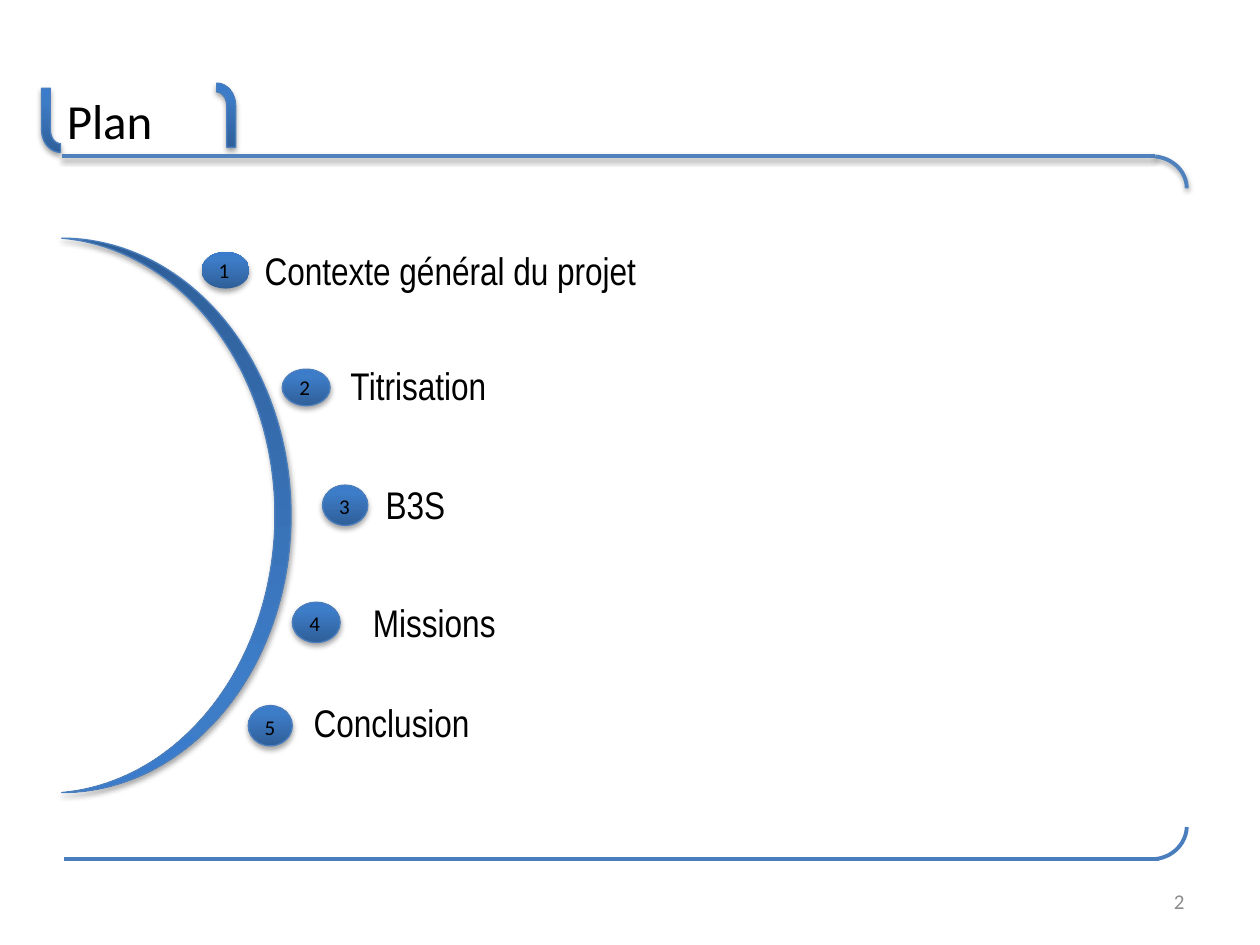
from math import cos, pi, sin

from lxml.etree import SubElement
from pptx import Presentation
from pptx.dml.color import RGBColor
from pptx.enum.shapes import MSO_CONNECTOR as Link, MSO_SHAPE as Shape
from pptx.enum.text import MSO_ANCHOR as Anchor, MSO_AUTO_SIZE as AutoSize, PP_ALIGN as Align
from pptx.oxml.ns import qn
from pptx.util import Inches, Pt

TITLE = "Plan"
PAGE_NUMBER = "2"
CHAPTERS = [
    {"name": "Contexte général du projet", "label": (1.76, 1.92, 4.99, 0.5),
     "badge": (1.6, 2, 0.38, 0.29), "edge": None, "spacing": 0.9},
    {"name": "Titrisation", "label": (2.44, 2.81, 3.34, 0.5),
     "badge": (2.24, 2.93, 0.38, 0.29)},
    {"name": "B3S", "label": (2.72, 3.75, 4, 0.5),
     "badge": (2.56, 3.85, 0.36, 0.32), "inset": 0.02},
    {"name": "Missions", "label": (2.62, 4.69, 4.47, 0.5),
     "badge": (2.32, 4.78, 0.38, 0.32), "inset": 0.02},
    {"name": "Conclusion", "label": (2.15, 5.48, 4.47, 0.5),
     "badge": (1.97, 5.6, 0.35, 0.32), "inset": 0.02},
]
BRACKETS = [(0.48, 1.03, 1), (1.72, 0.84, -1)]
GRADIENT = [(0, "2F5F99"), (80, "3D7CC7"), (100, "3A7CCB")]
BLACK, WHITE, GREY = "000000", "FFFFFF", "8C8C8C"
EDGE, TOP_RULE = "4B7EBC", "4F81BD"
LABEL_INSETS = (0.34, 0.13, 0.25, 0.13)


def color(value):
    return RGBColor.from_string(value)


def inches(values):
    return [Inches(value) for value in values]


def set_line(item, value, width=0.75):
    if value is None:
        item.line.fill.background()
    else:
        item.line.color.rgb = color(value)
        item.line.width = Pt(width)


def add_effects(item, shadow):
    properties = item.element.spPr
    effects = properties.find(qn("a:effectLst"))
    if effects is None:
        effects = SubElement(properties, qn("a:effectLst"))
    if shadow:
        outer = SubElement(effects, qn("a:outerShdw"), blurRad=str(Pt(3.1)),
                           dist=str(Pt(1.8)), dir="5400000", rotWithShape="0")
        tint = SubElement(outer, qn("a:srgbClr"), val=BLACK)
        SubElement(tint, qn("a:alpha"), val="35000")


def style_blue(shape, edge=EDGE):
    shape.fill.gradient()
    shape.fill.gradient_angle = 90
    stops = shape.element.spPr.find(qn("a:gradFill")).find(qn("a:gsLst"))
    stops.clear()
    for position, value in GRADIENT:
        stop = SubElement(stops, qn("a:gs"), pos=str(position * 1000))
        SubElement(stop, qn("a:srgbClr"), val=value)
    set_line(shape, edge)
    shape.shadow.inherit = False
    add_effects(shape, True)


def set_text(shape, text, size, font="Calibri", ink=BLACK, align=Align.LEFT,
             anchor=Anchor.TOP, insets=(0.1, 0.05, 0.1, 0.05), wrap=True, spacing=None):
    frame = shape.text_frame
    left, top, right, bottom = inches(insets)
    frame_format = {"auto_size": AutoSize.NONE, "word_wrap": wrap, "vertical_anchor": anchor,
                    "margin_left": left, "margin_top": top,
                    "margin_right": right, "margin_bottom": bottom}
    for name, value in frame_format.items():
        setattr(frame, name, value)
    para = frame.paragraphs[0]
    para.alignment = align
    para.line_spacing = spacing
    span = para.add_run()
    span.text = text
    for name, value in {"size": Pt(size), "name": font}.items():
        setattr(span.font, name, value)
    span.font.color.rgb = color(ink)


def add_chapter(page, number, chapter):
    label = page.shapes.add_shape(Shape.RECTANGLE, *inches(chapter["label"]))
    label.fill.solid()
    label.fill.fore_color.rgb = color(WHITE)
    set_line(label, WHITE)
    label.shadow.inherit = False
    set_text(label, chapter["name"], 22, "Arial Narrow", anchor=Anchor.MIDDLE,
             insets=LABEL_INSETS, spacing=chapter.get("spacing"))
    badge = page.shapes.add_shape(Shape.OVAL, *inches(chapter["badge"]))
    style_blue(badge, chapter.get("edge", EDGE))
    set_text(badge, str(number), 12, insets=(0.08, chapter.get("inset", 0), 0.1, 0.04))


def add_bracket(page, x, y, sign):
    steps = [step * pi / 24 for step in range(13)]
    outer = [(-0.15 * cos(angle), 0.18 * sin(angle)) for angle in steps]
    inner = [(-0.08 * cos(angle), 0.11 * sin(angle)) for angle in reversed(steps)]
    outline = [(-0.15, -0.33), *outer, *inner, (-0.08, -0.33)]
    points = [inches((x + sign * dx, y + sign * dy)) for dx, dy in outline]
    builder = page.shapes.build_freeform(*points[0], scale=1.0)
    builder.add_line_segments(points[1:], close=True)
    style_blue(builder.convert_to_shape())


def add_rule(page, start, end, corner, angles, value, shadow, flip=False):
    rule = page.shapes.add_connector(Link.STRAIGHT, *inches(start + end))
    arc = page.shapes.add_shape(Shape.ARC, *inches(corner))
    for index, angle in enumerate(angles):
        arc.adjustments[index] = angle
    arc.fill.background()
    arc.shadow.inherit = False
    if flip:
        arc.element.spPr.find(qn("a:xfrm")).set("flipV", "1")
    for item in (rule, arc):
        set_line(item, value, 2.25)
        add_effects(item, shadow)


def add_page_number(page):
    box = page.shapes.add_textbox(*inches((7.17, 6.95, 2.33, 0.4)))
    set_text(box, PAGE_NUMBER, 12, ink=GREY, align=Align.RIGHT, anchor=Anchor.MIDDLE)


def main():
    deck = Presentation()
    deck.slide_width, deck.slide_height = Inches(10), Inches(7.5)
    page = deck.slides.add_slide(deck.slide_layouts[5])
    title = page.shapes.title
    title.left, title.top, title.width, title.height = inches((0.43, 0.67, 0.89, 0.57))
    set_text(title, TITLE, 28, wrap=False)
    for bracket in BRACKETS:
        add_bracket(page, *bracket)
    moon = page.shapes.add_shape(Shape.MOON, *inches((0.49, 1.89, 1.82, 4.4)))
    moon.rotation = 180
    moon.adjustments[0] = 0.07
    style_blue(moon)
    for number, chapter in enumerate(CHAPTERS, 1):
        add_chapter(page, number, chapter)
    add_rule(page, (0.49, 1.24), (9.17, 1.24), (8.86, 1.24, 0.56, 0.51),
             (165.97, 0), TOP_RULE, True)
    add_rule(page, (0.51, 6.82), (9.2, 6.82), (8.86, 6.29, 0.56, 0.53),
             (165.97, 214.85), EDGE, False, flip=True)
    add_page_number(page)
    deck.save("out.pptx")


if __name__ == "__main__":
    main()
